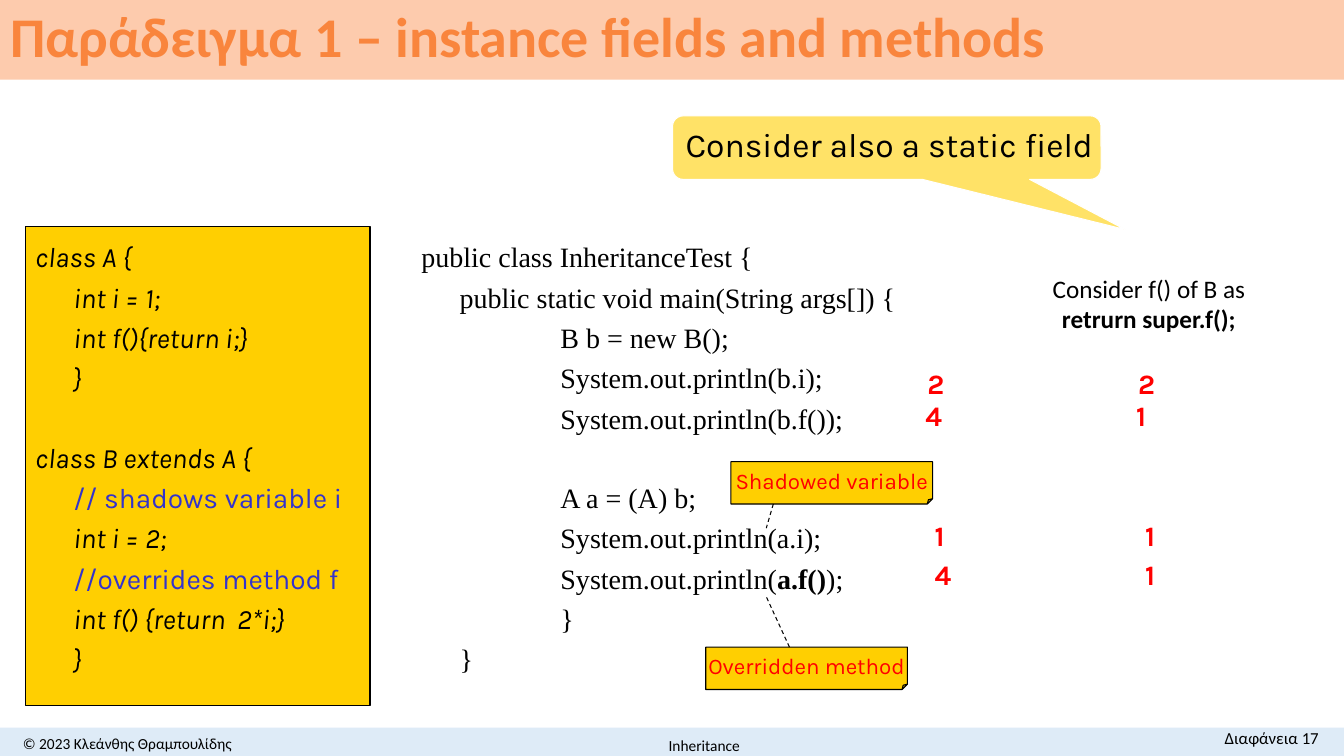
from pptx import Presentation
from pptx.dml.color import RGBColor
from pptx.enum.dml import MSO_LINE
from pptx.enum.shapes import MSO_CONNECTOR, MSO_SHAPE
from pptx.enum.text import MSO_ANCHOR, MSO_AUTO_SIZE, PP_ALIGN
from pptx.oxml.ns import qn
from pptx.util import Inches, Pt

LEFT, CENTER, RIGHT = PP_ALIGN.LEFT, PP_ALIGN.CENTER, PP_ALIGN.RIGHT
TOP, MIDDLE = MSO_ANCHOR.TOP, MSO_ANCHOR.MIDDLE
NO_FIT = MSO_AUTO_SIZE.NONE
RECTANGLE, NOTE = MSO_SHAPE.RECTANGLE, MSO_SHAPE.FOLDED_CORNER
CALLOUT = MSO_SHAPE.ROUNDED_RECTANGULAR_CALLOUT
STRAIGHT, DASH = MSO_CONNECTOR.STRAIGHT, MSO_LINE.DASH

BLACK, WHITE, RED, BLUE, YELLOW = "000000", "FFFFFF", "FF0000", "3333CC", "FFCF01"
INDENTS = (0, 0.38, 1.38)
LINE_GAP, BLOCK_GAP = 4.8, 32.8

CLASSES = [
    (0, ["class A {"]),
    (1, ["int i = 1;"]),
    (1, ["int f(){return i;}"]),
    (1, ["}"]),
    None,
    (0, ["class B extends A {"]),
    (1, [("// shadows variable i", {"color": BLUE, "italic": False})]),
    (1, ["int i = 2;"]),
    (1, [("//overrides method f", {"color": BLUE, "italic": False})]),
    (1, ["int f() {return  2*i;}"]),
    (1, ["}"]),
]
TEST = [
    (0, ["public class InheritanceTest {"]),
    (1, ["public static void main(String args[]) {"]),
    (2, ["B b = new B();"]),
    (2, ["System.out.println(b.i);"]),
    (2, ["System.out.println(b.f());"]),
    None,
    (2, ["A a = (A) b;"]),
    (2, ["System.out.println(a.i);"]),
    (2, ["System.out.println(", ("a.f()", {"bold": True}), ");"]),
    (2, ["}"]),
    (1, ["}"]),
]
ANSWERS = [(9.1, 3.59, "2", "2"), (9.08, 3.9, "4", "1"),
           (9.17, 5.09, "1", "1"), (9.17, 5.48, "4", "1")]


def rgb(value):
    return RGBColor.from_string(value)


def add_span(para, text, font="Karla", size=20, color=BLACK, bold=False, italic=False):
    span = para.add_run()
    span.text = text
    span.font.name = font
    span.font.size = Pt(size)
    span.font.bold = bold
    span.font.italic = italic
    span.font.color.rgb = rgb(color)


def write(shape, text, align=LEFT, anchor=TOP, wrap=True, **style):
    frame = shape.text_frame
    frame.word_wrap = wrap
    frame.auto_size = NO_FIT
    frame.vertical_anchor = anchor
    para = frame.paragraphs[0]
    para.alignment = align
    add_span(para, text, **style)
    return para


def add_text(slide, box, text, **style):
    shape = slide.shapes.add_textbox(*map(Inches, box))
    write(shape, text, **style)
    return shape


def add_panel(slide, kind, box, fill, line=None):
    shape = slide.shapes.add_shape(kind, *map(Inches, box))
    shape.shadow.inherit = False
    shape.fill.solid()
    shape.fill.fore_color.rgb = rgb(fill)
    if line:
        shape.line.color.rgb = rgb(line)
        shape.line.width = Pt(0.75)
    else:
        shape.line.fill.background()
    return shape


def set_guides(shape, **guides):
    geometry = shape._element.spPr.find(qn("a:prstGeom"))
    values = geometry.find(qn("a:avLst"))
    for guide in list(values):
        values.remove(guide)
    for name, value in guides.items():
        guide = {"name": name, "fmla": f"val {round(value * 100000)}"}
        values.append(values.makeelement(qn("a:gd"), guide))


def add_title(slide, box):
    title = slide.shapes.title
    title.left, title.top, title.width, title.height = map(Inches, box)
    title.fill.solid()
    title.fill.fore_color.rgb = rgb("FDCBAD")
    para = write(title, "Παράδειγμα 1 – instance fields and methods", anchor=MIDDLE,
                 font="Calibri", size=40, color="F9853D", bold=True)
    para.line_spacing = 0.9


def add_footer(slide, box):
    left, top, width, height = box
    add_panel(slide, RECTANGLE, box, "DEEBF7")
    add_text(slide, (left, top, 2.53, height), "© 2023 Κλεάνθης Θραμπουλίδης",
             align=CENTER, anchor=MIDDLE, font="Calibri", size=11)
    add_text(slide, (left + 3.64, top + 0.02, 6.69, height), "Inheritance",
             align=CENTER, anchor=MIDDLE, font="Calibri", size=11)
    add_text(slide, (left + width - 2.21, top - 0.05, 2.06, height), "Διαφάνεια 17",
             align=RIGHT, font="Calibri", size=12)


def add_code(slide, box, lines, **style):
    frame = slide.shapes.add_textbox(*map(Inches, box)).text_frame
    frame.word_wrap = True
    para, gap = frame.paragraphs[0], 0
    for line in lines:
        if line is None:
            gap = BLOCK_GAP
            continue
        level, spans = line
        if gap:
            para = frame.add_paragraph()
        para.space_before = Pt(gap)
        para._p.get_or_add_pPr().set("marL", str(Inches(INDENTS[level])))
        for span in spans:
            text, change = (span, {}) if isinstance(span, str) else span
            add_span(para, text, **{**style, **change})
        gap = LINE_GAP


def add_classes(slide, box):
    left, top, width, height = box
    add_panel(slide, RECTANGLE, box, YELLOW, BLACK)
    add_code(slide, (left, top + 0.08, width - 0.09, height - 0.17), CLASSES, italic=True)


def add_note(slide, box, text, start, end):
    note = add_panel(slide, NOTE, box, YELLOW, BLACK)
    set_guides(note, adj=0.125)
    write(note, text, align=CENTER, anchor=MIDDLE, wrap=False, size=16, color=RED)
    left, top = box[:2]
    points = (left + start[0], top + start[1], left + end[0], top + end[1])
    leader = slide.shapes.add_connector(STRAIGHT, *map(Inches, points))
    leader.line.color.rgb = rgb(BLACK)
    leader.line.width = Pt(0.75)
    leader.line.dash_style = DASH
    properties = leader._element.spPr
    properties.append(properties.makeelement(qn("a:effectLst"), {}))


def add_callout(slide, box):
    callout = add_panel(slide, CALLOUT, box, "FFE267", WHITE)
    set_guides(callout, adj1=0.556, adj2=1.289, adj3=0.167)
    write(callout, "Consider also a static field", wrap=False, size=24)


def add_answers(slide, column_gap):
    for left, top, *values in ANSWERS:
        for column, value in enumerate(values):
            add_text(slide, (left + column * column_gap, top, 0.38, 0.43), value,
                     wrap=False, color=RED, bold=True)


def add_variant(slide, box):
    shape = add_text(slide, box, "Consider f() of B as", align=CENTER,
                     font="Calibri", size=18)
    para = shape.text_frame.add_paragraph()
    para.alignment = CENTER
    add_span(para, "retrurn super.f();", font="Calibri", size=18, bold=True)


def main():
    deck = Presentation()
    deck.slide_width, deck.slide_height = Inches(13.33), Inches(7.5)
    slide = deck.slides.add_slide(deck.slide_layouts[5])
    add_footer(slide, (0, 7.22, 13.33, 0.3))
    add_title(slide, (0, 0, 13.33, 0.79))
    add_classes(slide, (0.25, 2.25, 3.42, 4.75))
    add_code(slide, (4.08, 2.33, 5.69, 4.58), TEST, font="Times New Roman")
    add_note(slide, (7.25, 4.58, 2, 0.42), "Shadowed variable", (0.42, 0.42), (0.35, 0.66))
    add_note(slide, (7, 6.42, 2, 0.42), "Overridden method", (0.83, 0), (0.6, -0.5))
    add_callout(slide, (6.67, 1.15, 4.25, 0.63))
    add_answers(slide, 2.09)
    add_variant(slide, (9.95, 2.66, 2.89, 0.71))
    deck.save("out.pptx")


if __name__ == "__main__":
    main()
